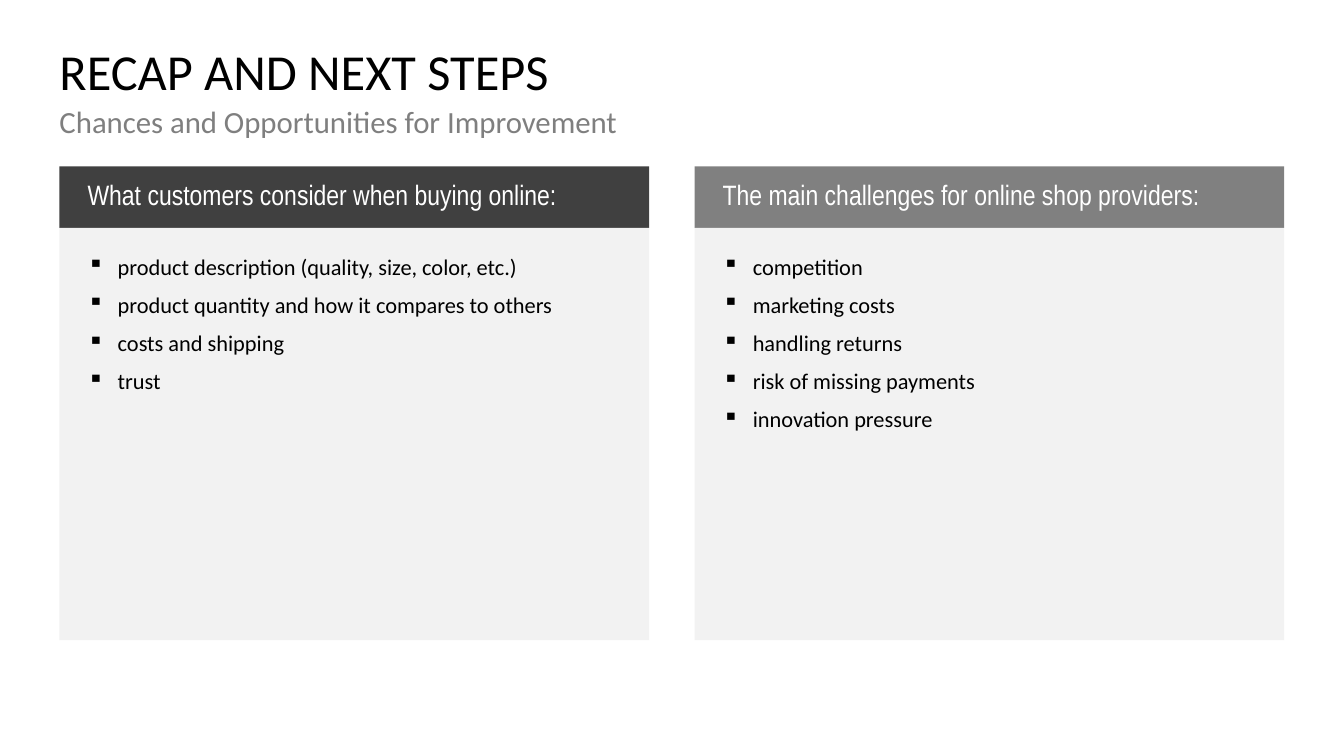
from lxml import etree
from pptx import Presentation
from pptx.dml.color import RGBColor
from pptx.enum import shapes, text
from pptx.oxml import ns
from pptx.util import Pt

COLORS = {"title": "000000", "subtitle": "7F7F7F", "dark": "404040",
          "gray": "808080", "panel": "F2F2F2", "heading": "FFFFFF", "body": "000000"}
TITLE = {"name": "Calibri", "size": Pt(36), "bold": False}
SUBTITLE = {"name": "Calibri", "size": Pt(22)}
HEADING = {"name": "Arial Narrow", "size": Pt(20)}
BODY = {"name": "Calibri", "size": Pt(16)}
LEFT, TOP, WIDTH = 42.5, 33.8, 874.8
PANEL_TOP, PANEL_WIDTH, PANEL_HEIGHT = 118.8, 421.2, 338.4
HEADING_HEIGHT = 43.9
SUBTITLE_TOP = 76.3
COLUMNS = [
    ("What customers consider when buying online:", "dark", [
        "product description (quality, size, color, etc.)",
        "product quantity and how it compares to others",
        "costs and shipping",
        "trust"]),
    ("The main challenges for online shop providers:", "gray", [
        "competition",
        "marketing costs",
        "handling returns",
        "risk of missing payments",
        "innovation pressure"]),
]


def place(shape, left, top, width, height):
    """Move and size a shape, in points."""
    for name, value in zip(("left", "top", "width", "height"), (left, top, width, height)):
        setattr(shape, name, Pt(value))


def add_bullet(para):
    """Give a paragraph a square bullet with a hanging indent."""
    props = para._p.get_or_add_pPr()
    props.set("marL", str(Pt(21.6)))
    props.set("indent", str(-Pt(21.6)))
    etree.SubElement(props, ns.qn("a:buChar")).set("char", "▪")


def write(shape, lines, font, color, insets=(0, 0, 0, 0), anchor=text.MSO_ANCHOR.TOP,
          spacing=0.9, after=0, bullets=False):
    """Fill a shape with formatted paragraphs."""
    frame = shape.text_frame
    settings = {"word_wrap": True, "auto_size": text.MSO_AUTO_SIZE.NONE,
                "vertical_anchor": anchor}
    sides = ("margin_left", "margin_top", "margin_right", "margin_bottom")
    settings.update(zip(sides, map(Pt, insets)))
    for name, value in settings.items():
        setattr(frame, name, value)
    for index, line in enumerate(lines):
        para = frame.add_paragraph() if index else frame.paragraphs[0]
        if bullets:
            add_bullet(para)
        layout = {"alignment": text.PP_ALIGN.LEFT, "line_spacing": spacing,
                  "space_before": Pt(0), "space_after": Pt(after)}
        for name, value in layout.items():
            setattr(para, name, value)
        span = para.add_run()
        span.text = line
        for name, value in font.items():
            setattr(span.font, name, value)
        span.font.color.rgb = RGBColor.from_string(COLORS[color])


def add_block(page, left, top, width, height, fill):
    """Add a plain filled rectangle."""
    block = page.shapes.add_shape(shapes.MSO_SHAPE.RECTANGLE,
                                  Pt(left), Pt(top), Pt(width), Pt(height))
    block.shadow.inherit = False
    block.fill.solid()
    block.fill.fore_color.rgb = RGBColor.from_string(COLORS[fill])
    block.line.fill.background()
    return block


def add_titles(page, left, top, width):
    """Place the title and the subtitle under it."""
    place(page.shapes.title, left, top, width, PANEL_TOP - top)
    write(page.shapes.title, ["RECAP AND NEXT STEPS"], TITLE, "title")
    box = page.shapes.add_textbox(Pt(left), Pt(SUBTITLE_TOP), Pt(width),
                                  Pt(PANEL_TOP - SUBTITLE_TOP))
    write(box, ["Chances and Opportunities for Improvement"], SUBTITLE, "subtitle", after=10)


def add_column(page, left, top, width, height, heading, fill, items):
    """Place a heading bar over a panel of bullets."""
    bar = add_block(page, left, top, width, HEADING_HEIGHT, fill)
    write(bar, [heading], HEADING, "heading", (20, 0, 11.5, 0),
          text.MSO_ANCHOR.MIDDLE, spacing=0.8)
    panel = add_block(page, left, top + HEADING_HEIGHT, width, height - HEADING_HEIGHT, "panel")
    write(panel, items, BODY, "body", (20, 20, 20, 20), after=10, bullets=True)


def main():
    """Build and save the deck."""
    deck = Presentation()
    deck.slide_width, deck.slide_height = Pt(960), Pt(540)
    page = deck.slides.add_slide(deck.slide_layouts[5])
    add_titles(page, LEFT, TOP, WIDTH)
    step = WIDTH - PANEL_WIDTH
    for index, column in enumerate(COLUMNS):
        add_column(page, LEFT + index * step, PANEL_TOP, PANEL_WIDTH, PANEL_HEIGHT, *column)
    deck.save("out.pptx")


if __name__ == "__main__":
    main()
